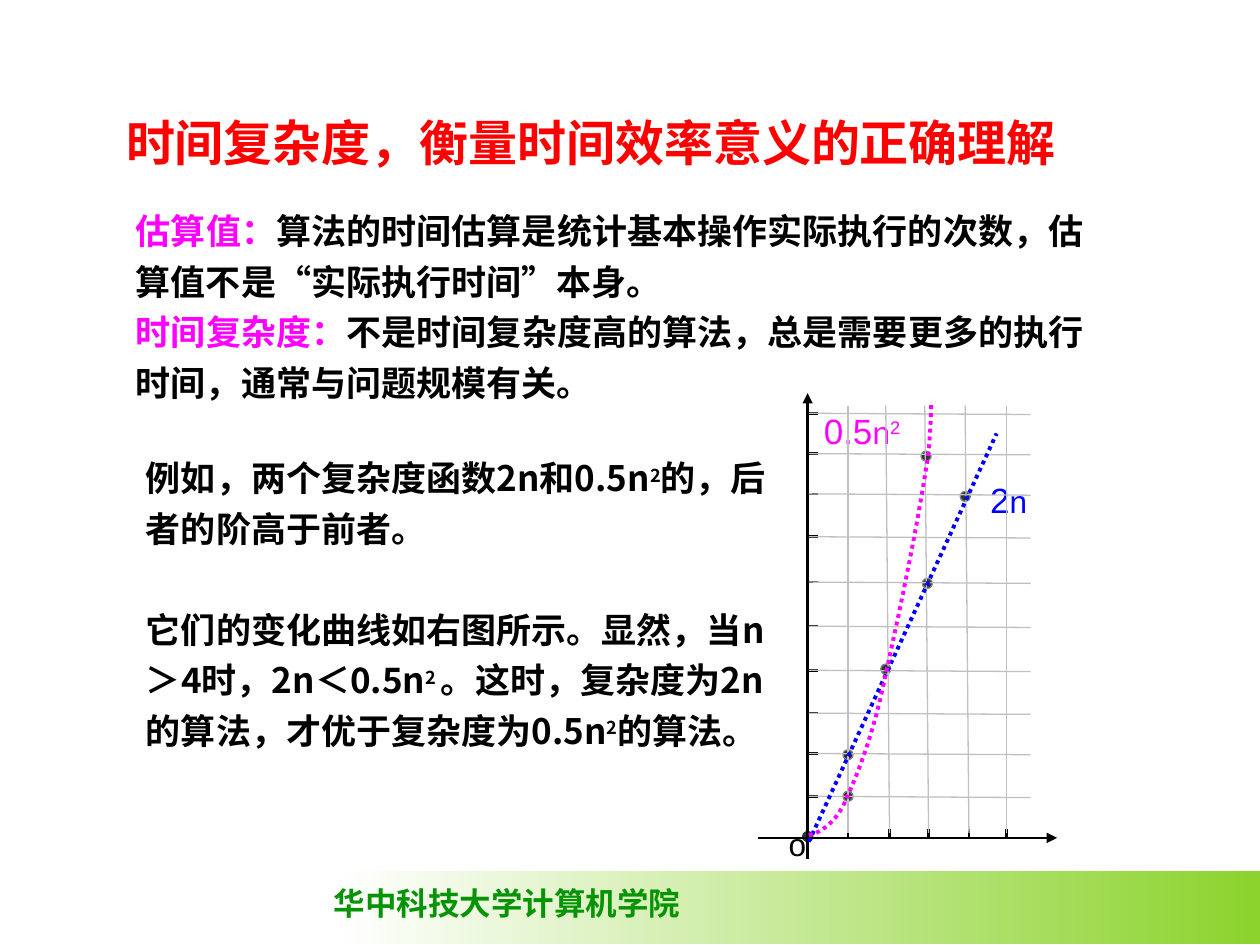
from pptx import Presentation
from pptx.dml.color import RGBColor
from pptx.enum.dml import MSO_LINE as Dash
from pptx.enum.shapes import MSO_CONNECTOR as Link, MSO_SHAPE as Form
from pptx.enum.text import MSO_ANCHOR as Anchor, PP_ALIGN as Align
from pptx.oxml.ns import qn
from pptx.util import Inches, Pt
from lxml.etree import SubElement as Sub

hue = RGBColor.from_string
CJK = "Noto Sans CJK SC"
BLACK, PINK, BLUE, RED = "000000", "FF00FF", "0000FF", "FF0000"


def write(shape, at, paras, base, form=None, wrap=True):
    shape.left, shape.top, shape.width, shape.height = map(Inches, at)
    frame = shape.text_frame
    frame.word_wrap = wrap
    for row, parts in enumerate(paras):
        para = frame.paragraphs[0] if row == 0 else frame.add_paragraph()
        for key, val in (form or {}).items():
            if key != "space_before" or row:
                setattr(para, key, val)
        for words, more in parts:
            look = {**base, **more}
            run = para.add_run()
            run.text = words
            font = run.font
            font.color.rgb = hue(look.pop("color"))
            lift = look.pop("lift", None)
            for key, val in look.items():
                setattr(font, key, val)
            node = run._r.get_or_add_rPr()
            Sub(node, qn("a:ea")).set("typeface", CJK)
            if lift:
                node.set("baseline", str(lift * 1000))


def rule(start, end, color, width, dash=None, head=False):
    ends = map(Inches, (*start, *end))
    link = shapes.add_connector(Link.STRAIGHT, *ends)
    Sub(link._element.spPr, qn("a:effectLst"))
    line = link.line
    line.color.rgb = hue(color)
    line.width = Pt(width)
    if dash:
        line.dash_style = dash
    if head:
        Sub(line._get_or_add_ln(), qn("a:tailEnd")).set("type", "triangle")


deck = Presentation()
deck.slide_width, deck.slide_height = Inches(10), Inches(7.5)
slide = deck.slides.add_slide(deck.slide_layouts[5])
shapes = slide.shapes

title = shapes.title
write(title, (0.9, 0.84, 7.88, 0.57),
      [[("时间复杂度，衡量时间效率意义的正确理解", {})]],
      {"size": Pt(28), "name": "Arial", "color": RED, "bold": True},
      {"alignment": Align.LEFT})
title.text_frame.vertical_anchor = Anchor.MIDDLE

band = shapes.add_shape(Form.RECTANGLE, *map(Inches, (2.67, 6.91, 7.33, 0.58)))
band.shadow.inherit = False
band.line.fill.background()
band.fill.gradient()
band.fill.gradient_angle = 180
for stop, spot, color in zip(band.fill.gradient_stops, (0, 1), ("8CD32D", "FFFFFF")):
    stop.position = spot
    stop.color.rgb = hue(color)

body = {"size": Pt(20), "name": CJK, "color": BLACK, "bold": True}
plain = {"size": Pt(18), "name": "Arial", "color": BLACK}
high = {"size": Pt(18), "lift": 30}
big = {"size": Pt(20)}
pink = {"color": PINK}
boxes = [
    ((2.55, 6.97, 2.95, 0.4), [[("华中科技大学计算机学院", {})]],
     {**plain, "name": "Times New Roman", "color": "069406", "bold": True}, None, False),
    ((0.98, 1.55, 7.72, 1.7), [
        [("估算值：", pink),
         ("算法的时间估算是统计基本操作实际执行的次数，估算值不是“实际执行时间”本身。", {})],
        [("时间复杂度：", pink),
         ("不是时间复杂度高的算法，总是需要更多的执行时间，通常与问题规模有关。", {})],
    ], body, {"line_spacing": 1.2, "alignment": Align.JUSTIFY}),
    ((1.06, 3.51, 5.12, 2.9), [
        [("例如，两个复杂度函数2n和0.5n", {}), ("2", high), ("的，后者的阶高于前者。", {})],
        [("它们的变化曲线如右图所示。显然，当n＞4时，2n＜0.5n", {}), ("2 ", high),
         ("。这时，复杂度为2n的算法，才优于复杂度为0.5n", {}), ("2", high), ("的算法。", {})],
    ], body, {"line_spacing": 1.2, "space_before": Pt(29)}),
    ((6.16, 6.5, 0.39, 0.4), [[("o", {})]], plain),
    ((7.76, 3.75, 0.71, 0.44), [[("2", big), ("n", {})]], {**plain, "color": BLUE}),
    ((6.44, 3.2, 1.07, 0.44), [[("0.5", big), ("n", {}), ("2", high)]], {**plain, **pink}),
]
for at, *rest in boxes:
    write(shapes.add_textbox(*map(Inches, at)), at, *rest)

dots = [(6.37, 6.6), (6.69, 5.95), (6.69, 6.28), (6.99, 5.27),
        (7.31, 3.58), (7.32, 4.59), (7.62, 3.9)]
for x, y in dots:
    dot = shapes.add_shape(Form.OVAL, *map(Inches, (x, y, 0.08, 0.08)))
    dot.shadow.inherit = False
    dot.fill.solid()
    dot.fill.fore_color.rgb = hue("333333")
    dot.line.color.rgb = hue("333333" if x == 6.37 else "808080")
    dot.line.width = Pt(0.75)

rule((6.02, 6.65), (8.39, 6.65), BLACK, 1.5, head=True)
rule((6.41, 6.82), (6.41, 3.12), BLACK, 1.5, head=True)
for x, skew in ((6.73, 0), (7.06, 0.03), (7.37, 0.03), (7.69, 0.03), (7.99, 0)):
    rule((x, 6.58), (x, 6.66), BLACK, 1.5)
    rule((x - skew, 3.22), (x, 6.61), "C0C0C0", 0.75)
for y in (6.32, 5.98, 5.66, 5.32, 4.97, 4.62, 4.26, 3.92, 3.6, 3.28):
    rule((6.42, y), (6.49, y), BLACK, 1.5)
    rule((6.42, y), (8.18, y + 0.01), "C0C0C0", 0.75)
rule((6.42, 6.68), (7.91, 3.44), BLUE, 2.25, Dash.ROUND_DOT)

start = (6.42, 6.63)
bends = [
    ((6.55, 6.6), (6.67, 6.48), (6.73, 6.31)),
    ((6.84, 6.07), (6.95, 5.75), (7.03, 5.35)),
    ((7.13, 4.9), (7.28, 4.2), (7.37, 3.59)),
    ((7.38, 3.46), (7.39, 3.33), (7.39, 3.2)),
]
points, last = [], start
for bend in bends:
    for t in (step / 10 for step in range(1, 11)):
        mix = ((1 - t) ** 3, 3 * t * (1 - t) ** 2, 3 * t * t * (1 - t), t ** 3)
        points.append(tuple(Inches(sum(m * p[k] for m, p in zip(mix, (last, *bend))))
                            for k in (0, 1)))
    last = bend[-1]
pen = shapes.build_freeform(*map(Inches, start))
pen.add_line_segments(points, close=False)
curve = pen.convert_to_shape()
curve.shadow.inherit = False
curve.fill.background()
curve.line.color.rgb = hue(PINK)
curve.line.width = Pt(2.25)
curve.line.dash_style = Dash.ROUND_DOT

deck.save("out.pptx")
